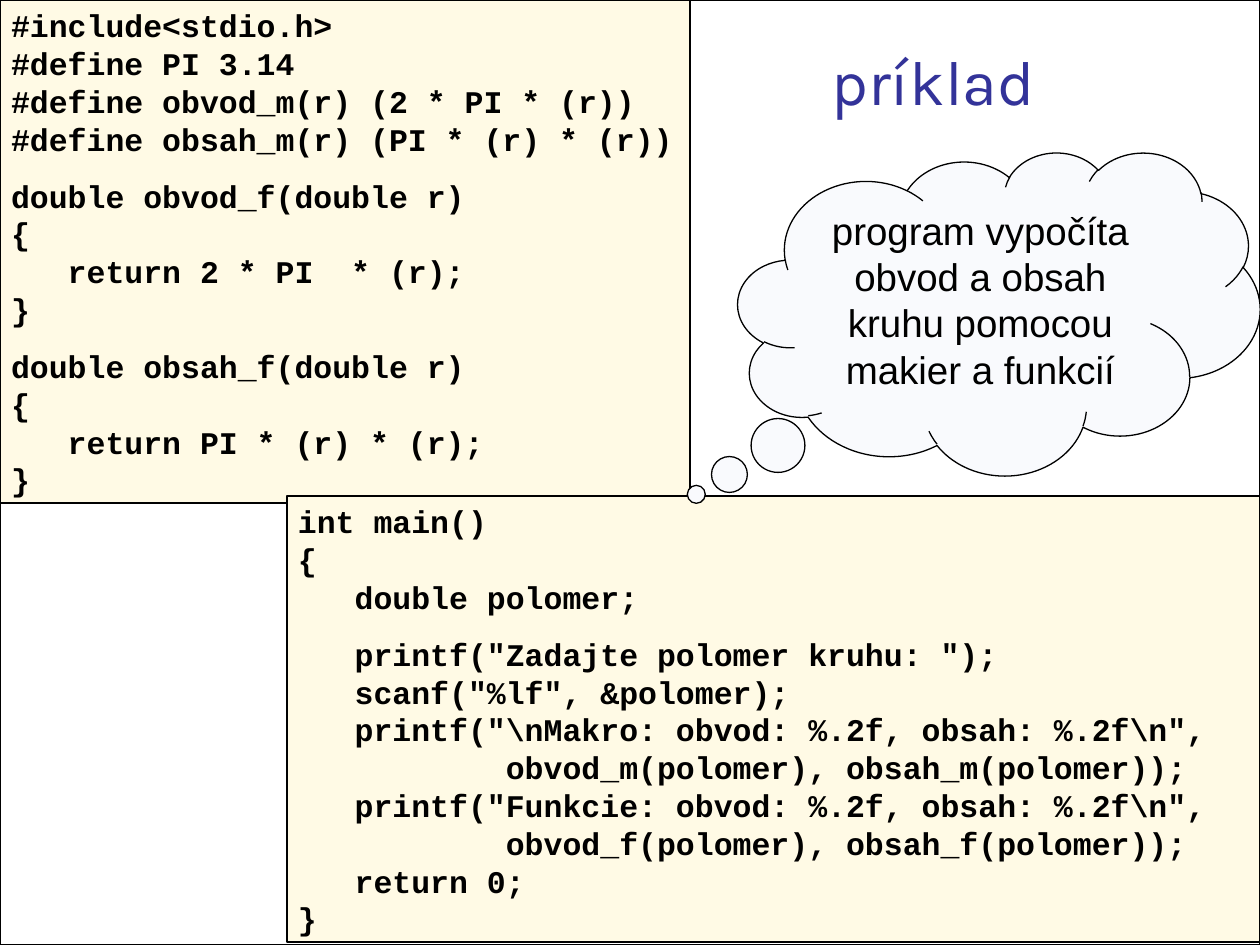
from pptx import Presentation
from pptx.dml.color import RGBColor
from pptx.enum.shapes import MSO_SHAPE as Shape
from pptx.enum.text import MSO_ANCHOR as Anchor, PP_ALIGN as Align
from pptx.util import Emu, Pt

PX = 914400 // 126
WIDTH, HEIGHT = 1260, 945
BLACK, WHITE, CREAM, PALE_BLUE, INDIGO = "000000", "FFFFFF", "FFFAE5", "F9FAFD", "333399"
BLOCK_GAP = Pt(11)

FUNCTIONS_CODE = r"""#include<stdio.h>
#define PI 3.14
#define obvod_m(r) (2 * PI * (r))
#define obsah_m(r) (PI * (r) * (r))

double obvod_f(double r)
{
   return 2 * PI  * (r);
}

double obsah_f(double r)
{
   return PI * (r) * (r);
}"""

MAIN_CODE = r"""int main()
{
   double polomer;

   printf("Zadajte polomer kruhu: ");
   scanf("%lf", &polomer);
   printf("\nMakro: obvod: %.2f, obsah: %.2f\n",
           obvod_m(polomer), obsah_m(polomer));
   printf("Funkcie: obvod: %.2f, obsah: %.2f\n",
           obvod_f(polomer), obsah_f(polomer));
   return 0;
}"""


def color(value):
    return RGBColor.from_string(value)


def px(*lengths):
    return [Emu(length * PX) for length in lengths]


def add_box(slide, preset, bounds, fill, line=BLACK):
    shape = slide.shapes.add_shape(preset, *px(*bounds))
    shape.shadow.inherit = False
    shape.fill.solid()
    shape.fill.fore_color.rgb = color(fill)
    if line:
        shape.line.color.rgb = color(line)
        shape.line.width = Pt(0.75)
    else:
        shape.line.fill.background()
    return shape


def style(paragraph, name, size, text_color=BLACK, bold=False, align=Align.LEFT):
    paragraph.alignment = align
    font = paragraph.font
    font.name, font.size, font.bold = name, Pt(size), bold
    font.color.rgb = color(text_color)


def fill_from_top(shape, text):
    """Put wrapped text at the top of a shape and return its frame."""
    frame = shape.text_frame
    frame.vertical_anchor = Anchor.TOP
    frame.word_wrap = True
    frame.margin_left, frame.margin_right = px(11, 11)
    frame.text = text
    return frame


def add_title(slide, text, bounds):
    frame = add_box(slide, Shape.RECTANGLE, bounds, WHITE, line=None).text_frame
    frame.vertical_anchor = Anchor.MIDDLE
    frame.text = text
    style(frame.paragraphs[0], "Karla", 36, INDIGO)


def add_code(slide, code, bounds):
    """Add a framed listing; a blank line in the code becomes spacing between blocks."""
    blocks = code.split("\n\n")
    box = add_box(slide, Shape.RECTANGLE, bounds, CREAM)
    frame = fill_from_top(box, "\n".join(blocks))
    for paragraph in frame.paragraphs:
        style(paragraph, "Courier New", 18, bold=True)
    start = 0
    for block in blocks[:-1]:
        start += len(block.splitlines())
        frame.paragraphs[start].space_before = BLOCK_GAP


def add_cloud(slide, text, bounds, tail):
    cloud = add_box(slide, Shape.CLOUD_CALLOUT, bounds, PALE_BLUE)
    cloud.adjustments[0], cloud.adjustments[1] = tail
    frame = fill_from_top(cloud, text)
    style(frame.paragraphs[0], "Arial", 22, align=Align.CENTER)


def main():
    presentation = Presentation()
    presentation.slide_width, presentation.slide_height = px(WIDTH, HEIGHT)
    slide = presentation.slides.add_slide(presentation.slide_layouts[6])
    add_box(slide, Shape.RECTANGLE, (0, 0, WIDTH, HEIGHT), WHITE)
    add_title(slide, "príklad", (819, 28, 411, 105))
    add_code(slide, FUNCTIONS_CODE, (0, 0, 690, 503))
    add_code(slide, MAIN_CODE, (287, 496, 973, 446))
    add_cloud(slide, "program vypočíta obvod a obsah kruhu pomocou makier a funkcií",
              (738, 152, 522, 323), (-0.58, 0.56))
    presentation.save("out.pptx")


if __name__ == "__main__":
    main()
